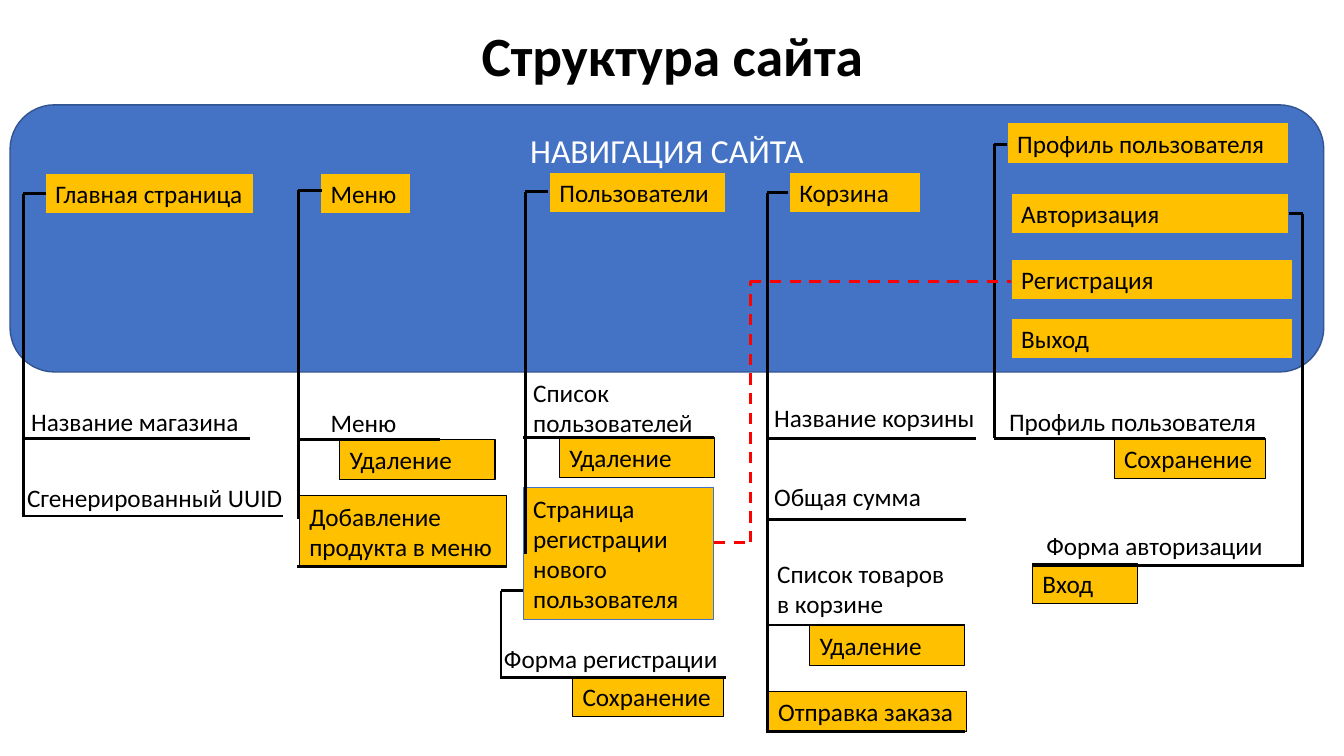
"""Build the site structure slide."""
from itertools import pairwise
from typing import NamedTuple

from lxml import etree
from pptx import Presentation
from pptx.dml.color import RGBColor
from pptx.enum import dml, shapes, text
from pptx.oxml import ns
from pptx.util import Inches, Pt

HUES = {"black": "000000", "white": "FFFFFF", "blue": "4472C4",
        "navy": "325491", "gold": "FFC000", "red": "FF0000"}
BODY = {"name": "Calibri", "size": Pt(18), "bold": False}
HEAD = BODY | {"size": Pt(39.6), "bold": True}
BAND = BODY | {"size": Pt(24)}
LEFT, MID = text.PP_ALIGN.LEFT, text.PP_ALIGN.CENTER
TOP = text.MSO_ANCHOR.TOP
RECT, ROUND = shapes.MSO_SHAPE.RECTANGLE, shapes.MSO_SHAPE.ROUNDED_RECTANGLE
ROW = 0.4


class Box(NamedTuple):
    words: str
    x: float
    y: float
    wide: float
    high: float = ROW
    fill: str = ""
    edge: str = ""


class Route(NamedTuple):
    points: list[tuple[float, float]]
    hue: str = "black"
    dash: bool = False


def nav(words: str, x: float, y: float, wide: float, high: float = ROW) -> Box:
    return Box(words, x, y, wide, high, "gold", "blue")


def act(words: str, x: float, y: float, wide: float, high: float = ROW) -> Box:
    return Box(words, x, y, wide, high, "gold", "black")


def bar(x: float, y: float, end: float) -> Route:
    return Route([(x, y), (end, y)])


def hook(start: float, y: float, x: float, end: float) -> Route:
    return Route([(start, y), (x, y), (x, end)])


TITLE = Box("Структура сайта", 0.92, 0.17, 11.5, 0.73)
PANEL = Box("НАВИГАЦИЯ САЙТА", 0.1, 1.04, 13.03, 2.65, "blue", "navy")
BOXES = [
    nav("Главная страница", 0.45, 1.72, 2.07),
    nav("Меню", 3.18, 1.72, 0.89),
    nav("Пользователи", 5.45, 1.71, 1.75),
    nav("Корзина", 7.83, 1.71, 1.3),
    nav("Профиль пользователя", 9.99, 1.22, 2.79),
    nav("Авторизация", 10.03, 1.92, 2.75),
    nav("Регистрация", 10.03, 2.57, 2.79),
    nav("Выход", 10.03, 3.16, 2.79),
    Box("Название магазина", 0.21, 3.98, 2.32),
    Box("Сгенерированный UUID", 0.17, 4.74, 2.91),
    Box("Меню", 3.18, 3.99, 0.89, fill="white"),
    act("Добавление продукта в меню", 2.97, 4.92, 2.05, 0.71),
    Box("Список пользователей", 5.19, 3.69, 1.89, 0.71),
    nav("Страница регистрации\nнового пользователя", 5.19, 4.84, 1.89, 1.31),
    Box("Форма регистрации", 4.9, 6.33, 2.79),
    Box("Название корзины", 7.58, 3.94, 2.32),
    Box("Общая сумма", 7.58, 4.73, 1.97),
    Box("Список товаров в корзине", 7.61, 5.49, 1.89, 0.71),
    act("Отправка заказа", 7.62, 6.86, 1.97),
    Box("Профиль пользователя", 9.91, 3.98, 2.79),
    Box("Форма авторизации", 10.28, 5.21, 2.79),
    act("Вход", 10.24, 5.59, 1.04),
    act("Сохранение", 5.68, 6.71, 1.5),
    act("Сохранение", 11.05, 4.35, 1.5),
    act("Удаление", 3.37, 4.36, 1.54),
    act("Удаление", 5.55, 4.34, 1.54),
    act("Удаление", 8.03, 6.2, 1.54),
]
ROUTES = [
    hook(0.46, 1.92, 0.23, 5.12), bar(0.23, 4.35, 2.48), bar(0.22, 5.12, 2.81),
    hook(3.19, 1.89, 2.96, 5.15), bar(2.95, 4.36, 4.36), bar(2.95, 5.62, 5.02),
    hook(5.44, 1.9, 5.21, 5.5), bar(5.19, 4.34, 7.08),
    hook(5.19, 5.86, 4.97, 6.72), bar(4.96, 6.72, 7.2),
    hook(7.82, 1.91, 7.61, 7.27),
    *(bar(7.61, y, end) for y, end in
      [(4.35, 9.68), (5.15, 9.58), (6.2, 9.57), (7.26, 9.57)]),
    hook(9.99, 1.43, 9.86, 4.35), bar(9.86, 4.35, 12.55),
    hook(12.78, 2.12, 12.92, 5.6), bar(10.24, 5.61, 12.93),
    Route([(7.08, 5.38), (7.44, 5.38), (7.44, 2.79), (10.03, 2.79)], "red", True),
]


def tint(hue: str) -> RGBColor:
    return RGBColor.from_string(HUES[hue])


def draw_box(slide, box: Box, font: dict = BODY, ink: str = "black",
             align=LEFT, kind=RECT, frame: dict | None = None) -> None:
    spot = [Inches(n) for n in box[1:5]]
    if box.fill:
        shape = slide.shapes.add_shape(kind, *spot)
        shape.shadow.inherit = False
        shape.fill.solid()
        shape.fill.fore_color.rgb = tint(box.fill)
    else:
        shape = slide.shapes.add_textbox(*spot)
    if box.edge:
        shape.line.color.rgb = tint(box.edge)
        shape.line.width = Pt(1 if kind == ROUND else 0.75)
    else:
        shape.line.fill.background()
    area = shape.text_frame
    area.text = box.words
    look = {"word_wrap": True, "vertical_anchor": TOP} | (frame or {})
    for key, value in look.items():
        setattr(area, key, value)
    for para in area.paragraphs:
        para.alignment = align
        for key, value in font.items():
            setattr(para.runs[0].font, key, value)
        para.runs[0].font.color.rgb = tint(ink)


def draw_route(slide, route: Route) -> None:
    for start, end in pairwise(route.points):
        link = slide.shapes.add_connector(
            shapes.MSO_CONNECTOR.STRAIGHT, *map(Inches, start + end))
        link.line.color.rgb = tint(route.hue)
        link.line.width = Pt(2)
        if route.dash:
            link.line.dash_style = dml.MSO_LINE.DASH
        etree.SubElement(link._element.spPr, ns.qn("a:effectLst"))


def main() -> None:
    deck = Presentation()
    deck.slide_width, deck.slide_height = Inches(13.33), Inches(7.5)
    slide = deck.slides.add_slide(deck.slide_layouts[6])
    draw_box(slide, PANEL, BAND, "white", MID, ROUND,
             {"margin_top": Inches(0.12)})
    draw_box(slide, TITLE, HEAD, align=MID,
             frame={"vertical_anchor": text.MSO_ANCHOR.MIDDLE})
    for box in BOXES:
        draw_box(slide, box)
    for route in ROUTES:
        draw_route(slide, route)
    deck.save("out.pptx")


main()
